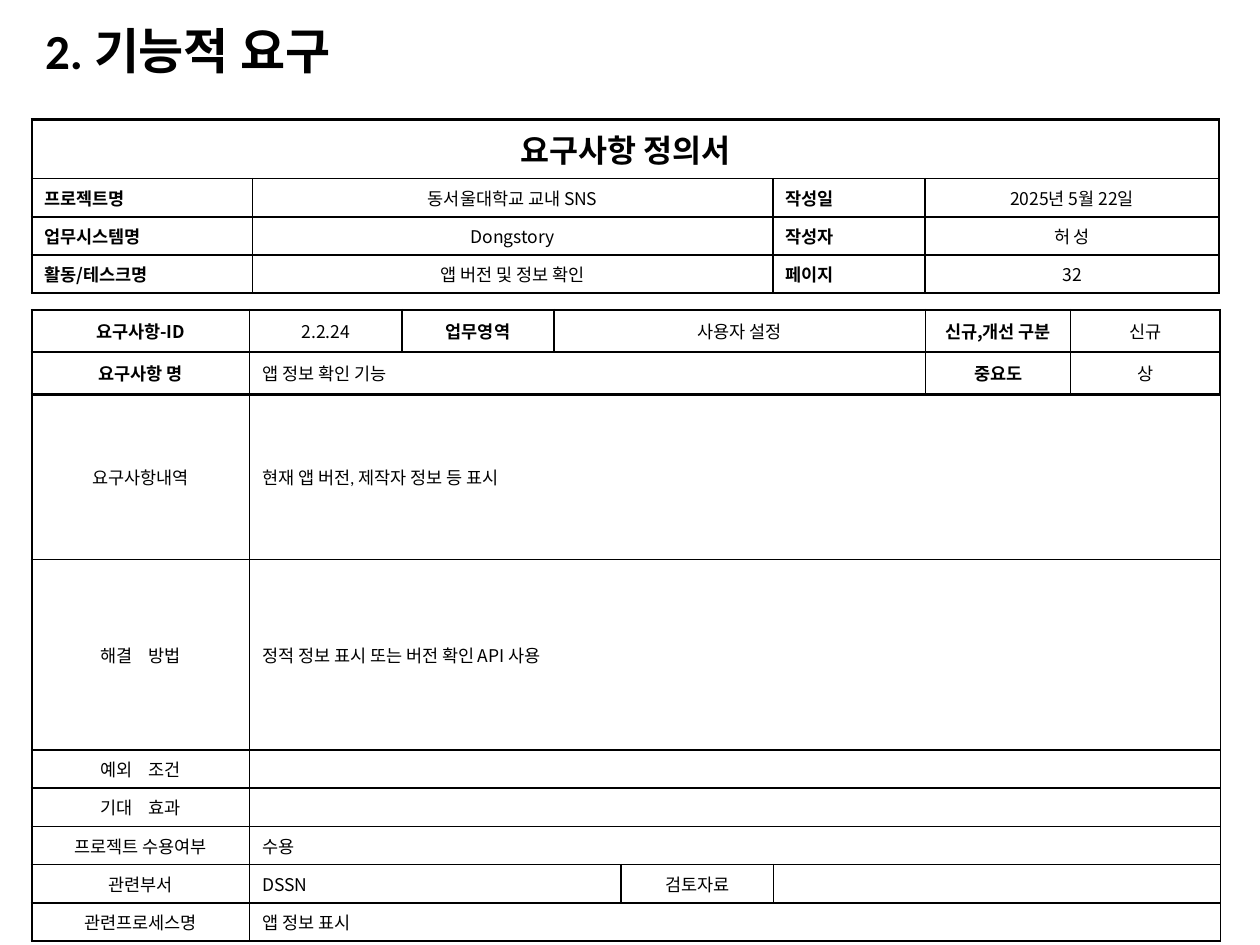
from lxml import etree
from pptx import Presentation
from pptx.dml.color import RGBColor
from pptx.enum import text
from pptx.oxml import ns
from pptx.util import Cm, Pt

BLACK = RGBColor(0x00, 0x00, 0x00)
KOREAN_FONT = "Noto Sans CJK KR"
THIN, THICK = 1, 1.5
LEFT, CENTER, JUSTIFY = text.PP_ALIGN.LEFT, text.PP_ALIGN.CENTER, text.PP_ALIGN.JUSTIFY
TOP, MIDDLE = text.MSO_ANCHOR.TOP, text.MSO_ANCHOR.MIDDLE


def add_run(paragraph, wording, size, bold=False, font=KOREAN_FONT, spacing=0):
    """Add one styled run; spacing is extra space after each character, in points."""
    run = paragraph.add_run()
    run.text = wording
    run.font.size, run.font.bold, run.font.name = Pt(size), bold, font
    run.font.color.rgb = BLACK
    properties = run.font._element
    etree.SubElement(properties, ns.qn("a:ea"), typeface=KOREAN_FONT)
    if spacing:
        properties.set("spc", str(int(spacing * 100)))


def add_border(cell, side, width):
    line = etree.SubElement(cell._tc.get_or_add_tcPr(), ns.qn(f"a:ln{side}"), w=str(Pt(width)))
    fill = etree.SubElement(line, ns.qn("a:solidFill"))
    etree.SubElement(fill, ns.qn("a:srgbClr"), val=str(BLACK))


presentation = Presentation()
presentation.slide_width, presentation.slide_height = Cm(25.4), Cm(19.05)
slide = presentation.slides.add_slide(presentation.slide_layouts[6])

title = slide.shapes.add_textbox(Cm(0.66), Cm(0.53), Cm(13.61), Cm(1.12)).text_frame
title.word_wrap = True
title.vertical_anchor = MIDDLE
title.paragraphs[0].line_spacing = 0.9
add_run(title.paragraphs[0], "2. 기능적 요구", 28, True, "Calibri")

# Each cell: wording, columns spanned, bold, alignment
header_rows = [[("요구사항 정의서", 4, True, CENTER)]]
for name, value, second_name, second_value in [
    ("프로젝트명", "동서울대학교 교내 SNS", "작성일", "2025년 5월 22일"),
    ("업무시스템명", "Dongstory", "작성자", "허 성"),
    ("활동/테스크명", "앱 버전 및 정보 확인", "페이지", "32"),
]:
    header_rows.append([
        (name, 1, True, JUSTIFY), (value, 1, False, CENTER),
        (second_name, 1, True, JUSTIFY), (second_value, 1, False, CENTER),
    ])

detail_rows = [
    [("요구사항-ID", 1, True, CENTER), ("2.2.24", 1, False, CENTER),
     ("업무영역", 1, True, CENTER), ("사용자 설정", 3, False, CENTER),
     ("신규,개선 구분", 1, True, CENTER), ("신규", 1, False, CENTER)],
    [("요구사항 명", 1, True, CENTER), ("앱 정보 확인 기능", 5, False, LEFT),
     ("중요도", 1, True, CENTER), ("상", 1, False, CENTER)],
]
for name, value in [
    ("요구사항내역", "현재 앱 버전, 제작자 정보 등 표시"),
    ("해결\t방법", "정적 정보 표시 또는 버전 확인 API 사용"),
    ("예외\t조건", ""),
    ("기대\t효과", ""),
    ("프로젝트 수용여부", "수용"),
    ("관련부서", "DSSN"),
    ("관련프로세스명", "앱 정보 표시"),
]:
    detail_rows.append([(name, 1, False, CENTER), (value, 7, False, LEFT)])
detail_rows[7][1:] = [("DSSN", 3, False, LEFT), ("검토자료", 1, False, CENTER), ("", 3, False, LEFT)]

# Each table: top, column widths, row heights, rows, thick inner rules, rows with a thick right edge
tables = [
    (2.41, [4.45, 10.49, 3.07, 5.92], [1.19] + [0.77] * 3, header_rows, [], [1, 2, 3]),
    (6.25, [4.39, 3.07, 3.07, 1.35, 3.07, 3.07, 2.92, 3.02],
     [0.85, 0.85, 3.33, 3.84] + [0.77] * 5, detail_rows, [1, 2], [0, 1]),
]

for top, widths, heights, rows, thick_rules, thick_right in tables:
    table = slide.shapes.add_table(
        len(heights), len(widths), Cm(0.64), Cm(top), Cm(sum(widths)), Cm(sum(heights))).table
    table.first_row = table.horz_banding = False
    for column, width in zip(table.columns, widths):
        column.width = Cm(width)
    for row, height in zip(table.rows, heights):
        row.height = Cm(height)
    thick_rules = {0, len(heights), *thick_rules}

    for row_index, row in enumerate(rows):
        first = 0
        for wording, span, bold, alignment in row:
            last = first + span - 1
            for column_index in range(first, last + 1):
                cell = table.cell(row_index, column_index)
                if column_index == first:
                    add_border(cell, "L", THICK if first == 0 else THIN)
                if column_index in (first, last):
                    outer = last == len(widths) - 1 and row_index in thick_right
                    add_border(cell, "R", THICK if outer else THIN)
                add_border(cell, "T", THICK if row_index in thick_rules else THIN)
                add_border(cell, "B", THICK if row_index + 1 in thick_rules else THIN)
                cell.fill.background()

            cell = table.cell(row_index, first)
            if span > 1:
                cell.merge(table.cell(row_index, last))
            is_heading = rows is header_rows and row_index == 0
            cell.vertical_anchor = TOP if rows is header_rows and not is_heading else MIDDLE
            paragraph = cell.text_frame.paragraphs[0]
            paragraph.alignment = alignment
            size = 18 if is_heading else 10
            font = "Calibri" if wording.startswith("현재") else KOREAN_FONT
            for part_index, part in enumerate(wording.split("\t")):
                if part_index:
                    add_run(paragraph, " ", size, spacing=7)
                if part:
                    add_run(paragraph, part, size, bold, font)
            first = last + 1

        for cell in table.rows[row_index].cells:
            paragraph = cell.text_frame.paragraphs[0]
            if not paragraph.runs:
                etree.SubElement(paragraph._p, ns.qn("a:endParaRPr"), sz="1000")

presentation.save("out.pptx")
